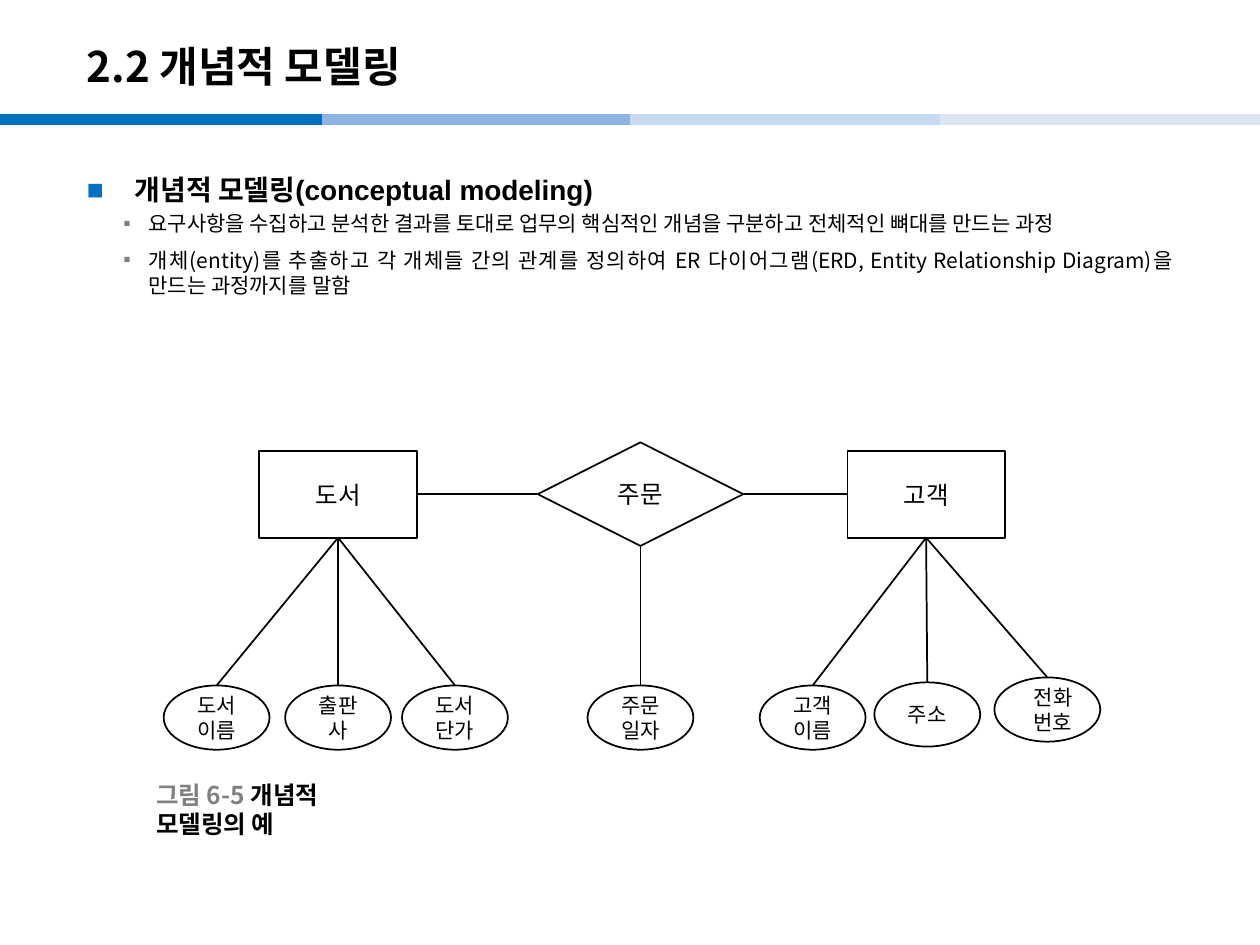
from lxml import etree
from pptx import Presentation
from pptx.dml.color import RGBColor
from pptx.enum.shapes import MSO_CONNECTOR, MSO_SHAPE
from pptx.enum.text import MSO_ANCHOR, PP_ALIGN
from pptx.oxml.ns import qn
from pptx.util import Pt

STRAIGHT = MSO_CONNECTOR.STRAIGHT
RECTANGLE, DIAMOND, ELLIPSE = MSO_SHAPE.RECTANGLE, MSO_SHAPE.DIAMOND, MSO_SHAPE.OVAL
MIDDLE, TOP = MSO_ANCHOR.MIDDLE, MSO_ANCHOR.TOP
CENTER, RIGHT, JUSTIFY = PP_ALIGN.CENTER, PP_ALIGN.RIGHT, PP_ALIGN.JUSTIFY

KOREAN = "Noto Sans CJK KR"
COLORS = {
    "black": "000000",
    "white": "FFFFFF",
    "gray": "808080",
    "blue": "0070C0",
    "mid_blue": "8EB4E3",
    "light_blue": "C6D9F1",
    "pale_blue": "DCE6F2",
}
STRIPES = [(0, "blue"), (184.3, "mid_blue"), (360, "light_blue"), (537.1, "pale_blue")]
STRIPE_LENGTH = 184.3
MAIN_ROW = 282.4
ATTRIBUTE_TOP = 391.7
ATTRIBUTE_SIZE = (60.5, 36.7)
NODES = [
    ("도서", RECTANGLE, 193.2, (90, 49.7), [
        ("도서이름", 123.8, 0, CENTER),
        ("출판사", 193.2, 0, CENTER),
        ("도서단가", 260, 0, CENTER),
    ]),
    ("주문", DIAMOND, 366, (117.4, 59.2), [
        ("주문일자", 366, 0, CENTER),
    ]),
    ("고객", RECTANGLE, 529.2, (90, 49.7), [
        ("고객이름", 464.4, 0, CENTER),
        ("주소", 529.9, -1.8, CENTER),
        ("전화번호", 598.5, -4.6, RIGHT),
    ]),
]
DETAILS = [
    "요구사항을 수집하고 분석한 결과를 토대로 업무의 핵심적인 개념을 구분하고 "
    "전체적인 뼈대를 만드는 과정",
    "개체(entity)를 추출하고 각 개체들 간의 관계를 정의하여 ER 다이어그램"
    "(ERD, Entity Relationship Diagram)을 만드는 과정까지를 말함",
]


def color(name):
    """Return the named colour."""
    return RGBColor.from_string(COLORS[name])


def add_run(para, text, size, bold=False, tint="black", font=KOREAN):
    """Add one styled run with Latin and East Asian fonts."""
    span = para.add_run()
    span.text = text
    span.font.size = Pt(size)
    span.font.bold = bold
    span.font.color.rgb = color(tint)
    span.font.name = font
    east_asian = etree.SubElement(span.font._element, qn("a:ea"))
    east_asian.set("typeface", KOREAN)


def add_text_box(slide, left, top, width, height, anchor=MIDDLE, wrap=True):
    """Add an empty text box and return its frame."""
    box = slide.shapes.add_textbox(Pt(left), Pt(top), Pt(width), Pt(height))
    frame = box.text_frame
    frame.word_wrap = wrap
    frame.vertical_anchor = anchor
    return frame


def set_bullet(para, mark, tint, margin, hanging):
    """Give a paragraph a coloured bullet with a hanging indent."""
    properties = para._p.get_or_add_pPr()
    properties.set("marL", str(Pt(margin)))
    properties.set("indent", str(-Pt(hanging)))
    bullet_color = etree.SubElement(properties, qn("a:buClr"))
    etree.SubElement(bullet_color, qn("a:srgbClr")).set("val", COLORS[tint])
    etree.SubElement(properties, qn("a:buFont")).set("typeface", "Arial")
    etree.SubElement(properties, qn("a:buChar")).set("char", mark)


def add_line(slide, start, end, tint="black", weight=1):
    """Draw a straight line between two points."""
    line = slide.shapes.add_connector(STRAIGHT, *map(Pt, start + end))
    line.line.color.rgb = color(tint)
    line.line.width = Pt(weight)
    etree.SubElement(line._element.spPr, qn("a:effectLst"))


def add_node(slide, kind, center, top, size, text, text_size, align=CENTER):
    """Add an outlined diagram node centred on a horizontal position."""
    width, height = size
    node = slide.shapes.add_shape(
        kind, Pt(center - width / 2), Pt(top), Pt(width), Pt(height))
    node.shadow.inherit = False
    node.fill.solid()
    node.fill.fore_color.rgb = color("white")
    node.line.color.rgb = color("black")
    node.line.width = Pt(1)
    node.text_frame.word_wrap = True
    node.text_frame.vertical_anchor = MIDDLE
    para = node.text_frame.paragraphs[0]
    para.alignment = align
    add_run(para, text, text_size)


def add_header(slide):
    """Add the title and the striped rule below it."""
    for left, tint in STRIPES:
        add_line(slide, (left, 68.4), (left + STRIPE_LENGTH, 68.4), tint, 6)
    frame = add_text_box(slide, 42.5, 15.8, 595.4, 43.2)
    add_run(frame.paragraphs[0], "2.2 개념적 모델링", 24, bold=True)


def add_body(slide):
    """Add the heading and its detail bullets."""
    frame = add_text_box(slide, 42.5, 85.7, 635, 430.6, TOP)
    heading = frame.paragraphs[0]
    set_bullet(heading, "■", "blue", 27.4, 27.4)
    heading.alignment = JUSTIFY
    heading.line_spacing = 1.5
    add_run(heading, "개념적 모델링(conceptual modeling)", 16, bold=True, font="Arial")
    for text in DETAILS:
        para = frame.add_paragraph()
        para.level = 1
        set_bullet(para, "▪", "gray", 35.3, 14.4)
        para.alignment = JUSTIFY
        para.space_before = Pt(2.4)
        para.space_after = Pt(4)
        add_run(para, text, 12)


def add_diagram(slide):
    """Draw the entities, their relationship and their attributes."""
    for (_, _, left, left_size, _), (_, _, right, right_size, _) in zip(NODES, NODES[1:]):
        add_line(slide, (left + left_size[0] / 2, MAIN_ROW),
                 (right - right_size[0] / 2, MAIN_ROW))
    for name, kind, center, size, attributes in NODES:
        bottom = MAIN_ROW + size[1] / 2
        add_node(slide, kind, center, MAIN_ROW - size[1] / 2, size, name, 14)
        for text, position, shift, align in attributes:
            top = ATTRIBUTE_TOP + shift
            add_line(slide, (center, bottom), (position, top))
            add_node(slide, ELLIPSE, position, top, ATTRIBUTE_SIZE, text, 12, align)


def add_caption(slide):
    """Add the figure caption."""
    frame = add_text_box(slide, 82.1, 451.4, 147.6, 22.3, wrap=False)
    para = frame.paragraphs[0]
    add_run(para, "그림 6-5 ", 14, bold=True, tint="gray")
    add_run(para, "개념적 모델링의 예", 14, bold=True)


def main():
    """Build and save the deck."""
    deck = Presentation()
    deck.slide_width, deck.slide_height = Pt(720), Pt(540)
    slide = deck.slides.add_slide(deck.slide_layouts[6])
    add_header(slide)
    add_body(slide)
    add_diagram(slide)
    add_caption(slide)
    deck.save("out.pptx")


if __name__ == "__main__":
    main()
